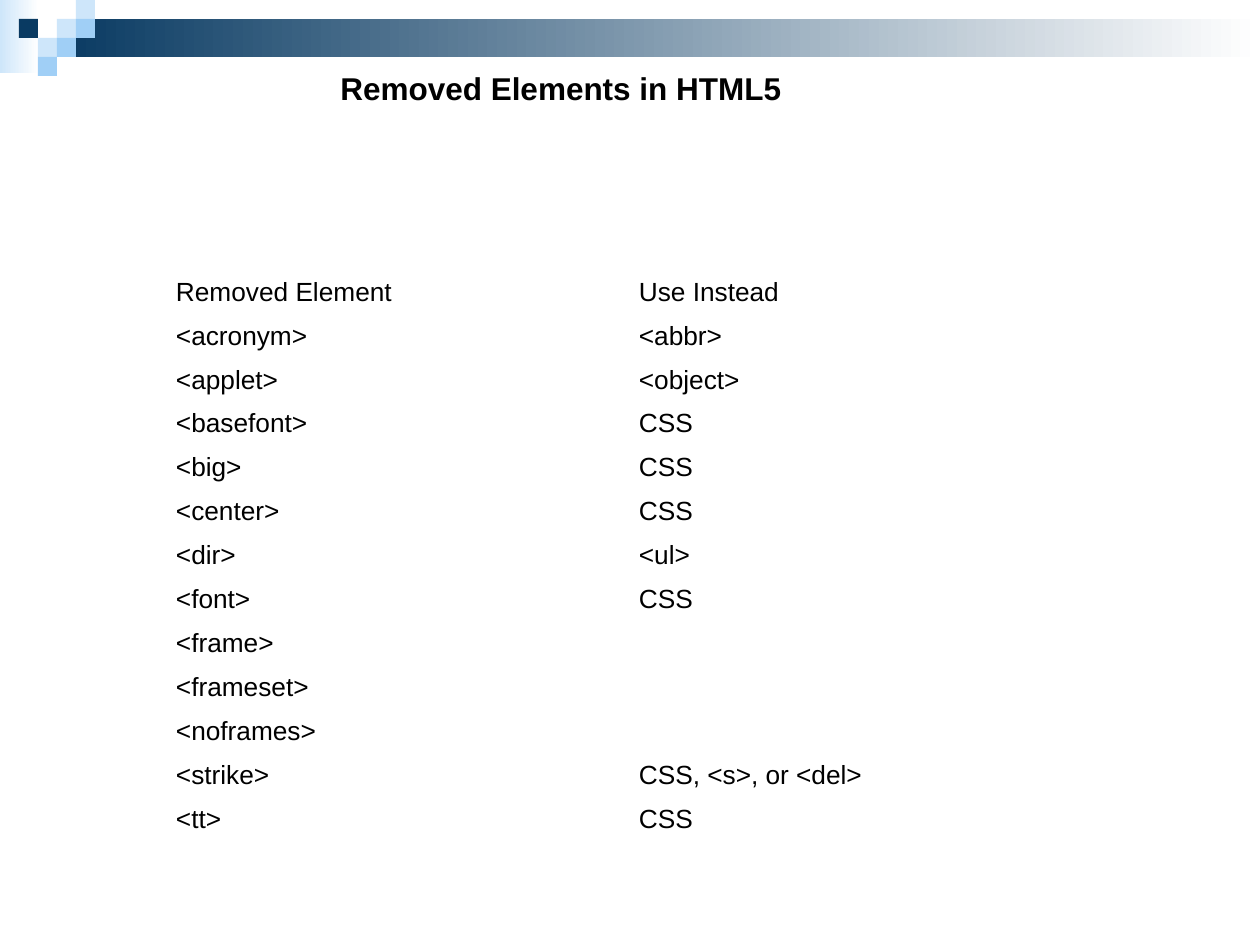
"""Build a slide listing the elements removed in HTML5 and their substitutes."""
from dataclasses import dataclass

import pptx
import pptx.dml.color
import pptx.enum.shapes
import pptx.enum.text
import pptx.util

SCALE = 914400 / 126
TILE = 19
COLORS = {"navy": "093A62", "sky": "A0CFF6", "pale": "CEE6FA",
          "white": "FFFFFF", "black": "000000"}
BODY = {"name": "Arial", "size": pptx.util.Pt(15), "bold": False}
HEAD = {"name": "Arial", "size": pptx.util.Pt(18), "bold": True}


@dataclass
class Band:
    x: int
    y: int
    w: int
    h: int
    start: str


@dataclass
class Tile:
    col: int
    row: int
    tint: str


@dataclass
class Swap:
    old: str
    new: str = ""


BANDS = [Band(0, 0, 39, 73, "pale"), Band(57, 19, 1203, 38, "navy")]
TILES = [Tile(3, 1, "pale"), Tile(4, 0, "pale"), Tile(4, 1, "sky"),
         Tile(2, 2, "pale"), Tile(1, 1, "navy"), Tile(3, 2, "sky"),
         Tile(2, 3, "sky")]
SWAPS = [
    Swap("Removed Element", "Use Instead"),
    Swap("<acronym>", "<abbr>"),
    Swap("<applet>", "<object>"),
    Swap("<basefont>", "CSS"),
    Swap("<big>", "CSS"),
    Swap("<center>", "CSS"),
    Swap("<dir>", "<ul>"),
    Swap("<font>", "CSS"),
    Swap("<frame>"),
    Swap("<frameset>"),
    Swap("<noframes>"),
    Swap("<strike>", "CSS, <s>, or <del>"),
    Swap("<tt>", "CSS"),
]


def px(n: int) -> int:
    return round(n * SCALE)


def tone(name: str) -> pptx.dml.color.RGBColor:
    return pptx.dml.color.RGBColor.from_string(COLORS[name])


def style(font, look: dict) -> None:
    for key, value in look.items():
        setattr(font, key, value)
    font.color.rgb = tone("black")


def block(slide, x: int, y: int, w: int, h: int):
    kind = pptx.enum.shapes.MSO_SHAPE.RECTANGLE
    shape = slide.shapes.add_shape(kind, px(x), px(y), px(w), px(h))
    shape.shadow.inherit = False
    shape.line.fill.background()
    return shape


def draw_band(slide, band: Band) -> None:
    fill = block(slide, band.x, band.y, band.w, band.h).fill
    fill.gradient()
    fill.gradient_angle = 0
    for stop, name in zip(fill.gradient_stops, (band.start, "white")):
        stop.color.rgb = tone(name)


def draw_tile(slide, tile: Tile) -> None:
    fill = block(slide, tile.col * TILE, tile.row * TILE, TILE, TILE).fill
    fill.solid()
    fill.fore_color.rgb = tone(tile.tint)


def draw_title(slide, text: str) -> None:
    box = slide.shapes.add_textbox(px(328), px(63), px(466), px(50))
    frame = box.text_frame
    frame.word_wrap = False
    frame.auto_size = pptx.enum.text.MSO_AUTO_SIZE.SHAPE_TO_FIT_TEXT
    frame.text = text
    style(frame.paragraphs[0].runs[0].font, HEAD)


def draw_table(slide, swaps: list[Swap]) -> None:
    grid = slide.shapes.add_table(len(swaps), 2, px(166), px(270),
                                  px(926), px(44 * len(swaps))).table
    grid.first_row = grid.horz_banding = False
    look = {"margin_left": px(10), "margin_right": px(10),
            "margin_top": px(6), "margin_bottom": px(6),
            "vertical_anchor": pptx.enum.text.MSO_ANCHOR.MIDDLE}
    for row, swap in zip(grid.rows, swaps):
        for cell, text in zip(row.cells, (swap.old, swap.new)):
            for key, value in look.items():
                setattr(cell, key, value)
            cell.fill.background()
            cell.text = text
            para = cell.text_frame.paragraphs[0]
            style(para.runs[0].font if para.runs else para.font, BODY)


def main() -> None:
    deck = pptx.Presentation()
    deck.slide_width, deck.slide_height = px(1260), px(945)
    slide = deck.slides.add_slide(deck.slide_layouts[6])
    for band in BANDS:
        draw_band(slide, band)
    for tile in TILES:
        draw_tile(slide, tile)
    draw_title(slide, "Removed Elements in HTML5")
    draw_table(slide, SWAPS)
    deck.save("out.pptx")


if __name__ == "__main__":
    main()
